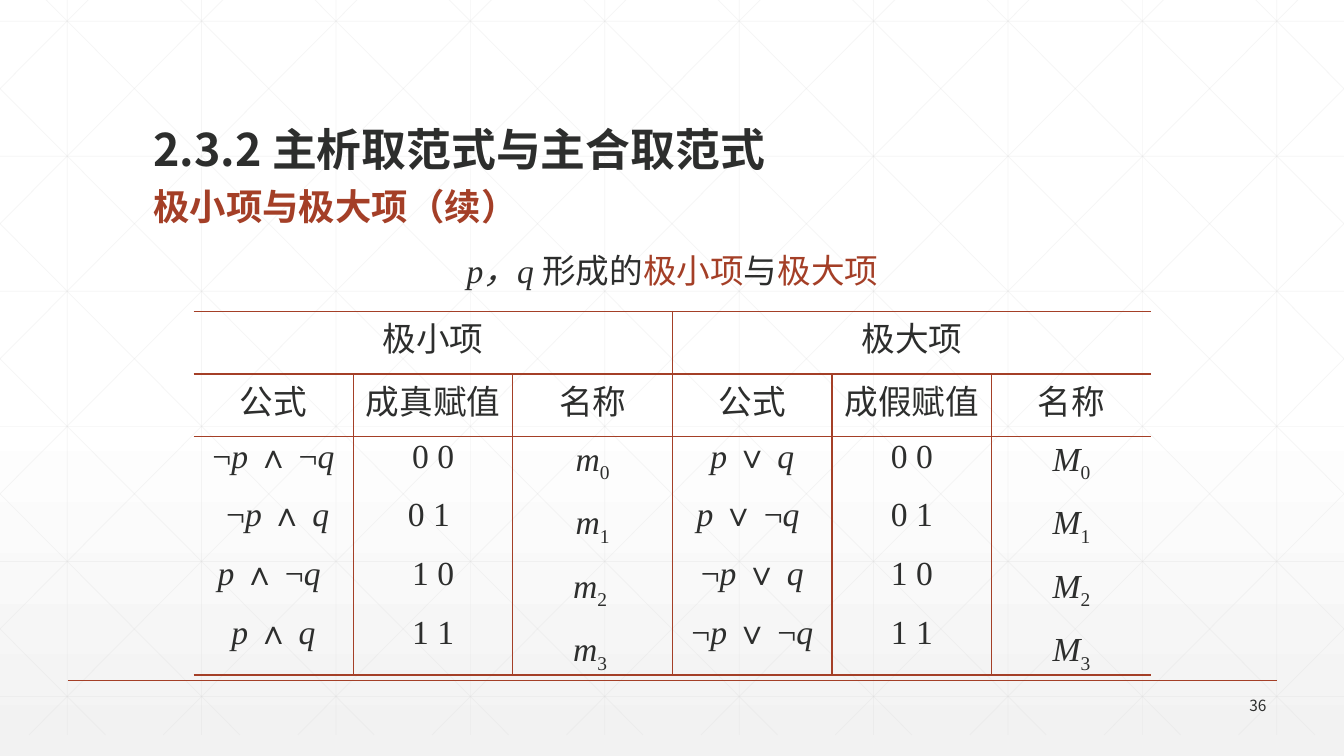
"""Slide on the minterms and maxterms of two propositional variables."""
from collections import namedtuple
from itertools import groupby

from lxml.etree import SubElement
from pptx import Presentation
from pptx.dml.color import RGBColor
from pptx.enum.shapes import MSO_CONNECTOR as Connector
from pptx.enum.text import MSO_ANCHOR as Anchor, MSO_AUTO_SIZE as AutoSize, PP_ALIGN as Align
from pptx.oxml.ns import qn
from pptx.util import Inches, Pt

TITLE = "2.3.2 主析取范式与主合取范式"
SUBTITLE = "极小项与极大项（续）"
CAPTION = [("p，q ", "variable"), ("形成的", "plain"), ("极小项", "key"),
           ("与", "plain"), ("极大项", "key")]
PAGE = "36"
GROUPS = ["极小项", "极大项"]
HEADINGS = ["公式", "成真赋值 ", "名称", "公式", "成假赋值 ", "名称"]
TERMS = [
    ["¬p ∧ ¬q", " ¬p ∧ q", "p ∧ ¬q ", "p ∧ q"],
    ["0 0", "0 1 ", "1 0", "1 1"],
    ["m0", "m1", "m2 ", "m3 "],
    ["p ∨ q", "p ∨ ¬q ", "¬p ∨ q", "¬p ∨ ¬q"],
    ["0 0", "0 1", "1 0", "1 1"],
    ["M0", "M1", "M2", "M3"],
]

Theme = namedtuple("Theme", "ink accent grid paper shade sans serif title subtitle text page")
THEME = Theme("2D2E2D", "A43F27", "D9D9D9", "FFFFFF", "F2F2F2",
              "Noto Sans CJK SC", "Times New Roman", 32, 26, 24, 11)

WIDTH, HEIGHT = 13.33, 7.5
GRID_TOP, GRID_BOTTOM = -0.21, 7.29
COLUMN_STEP, ROW_STEP = WIDTH / 10, 1.34
SLOPE = 7.5 / 7.46
TABLE_LEFT, TABLE_TOP, TABLE_WIDTH = 1.92, 3.09, 9.5
ROW_HEIGHTS = [0.62, 0.62, 1.99]


def rgb(color):
    return RGBColor.from_string(color)


def draw_line(slide, start, end, color, points, opacity=100):
    line = slide.shapes.add_connector(
        Connector.STRAIGHT, *(Inches(value) for value in (*start, *end)))
    line.line.color.rgb = rgb(color)
    line.line.width = Pt(points)
    properties = line._element.spPr
    if opacity < 100:
        tint = properties.find(".//" + qn("a:srgbClr"))
        SubElement(tint, qn("a:alpha"), val=str(opacity * 1000))
    SubElement(properties, qn("a:effectLst"))


def draw_grid(slide):
    lines = []
    for column in range(10):
        x = COLUMN_STEP * (column + 0.5)
        lines.append(((x, GRID_TOP), (x, GRID_BOTTOM)))
    for row in range(6):
        y = 0.21 + ROW_STEP * row
        lines.append(((0, y), (WIDTH, y)))
    for step in range(-5, 10):
        x = 0.25 + COLUMN_STEP * step
        left = max(x, 0)
        right = min(x + (GRID_BOTTOM - GRID_TOP) / SLOPE, WIDTH)
        top, bottom = (GRID_TOP + (edge - x) * SLOPE for edge in (left, right))
        lines.append(((left, top), (right, bottom)))
        lines.append(((WIDTH - left, top), (WIDTH - right, bottom)))
    for start, end in lines:
        draw_line(slide, start, end, THEME.grid, 0.5, 25)


def add_run(paragraph, text, size, font=THEME.sans, color=THEME.ink,
            bold=False, italic=False, subscript=False):
    run = paragraph.add_run()
    run.text = text
    run.font.size, run.font.bold, run.font.italic = Pt(size), bold, italic
    run.font.color.rgb = rgb(color)
    run.font.name = font
    properties = run._r.get_or_add_rPr()
    SubElement(properties, qn("a:ea"), typeface=THEME.sans)
    if subscript:
        properties.set("baseline", "-25000")


def add_formula(paragraph, formula):
    named = formula[0] in "mM"
    for letters, characters in groupby(formula, lambda c: c in "pqmM"):
        add_run(paragraph, "".join(characters), THEME.text, THEME.serif,
                italic=letters, subscript=named and not letters)


def place(shape, left, top, width, height, anchor):
    shape.left, shape.top = Inches(left), Inches(top)
    shape.width, shape.height = Inches(width), Inches(height)
    frame = shape.text_frame
    frame.word_wrap = True
    frame.auto_size = AutoSize.NONE
    frame.vertical_anchor = anchor
    return frame


def format_paragraphs(frame, align, before=18):
    for index, paragraph in enumerate(frame.paragraphs):
        paragraph.alignment = align
        paragraph.line_spacing = 0.9
        paragraph.space_before = Pt(before if index else 0)


def fill_body(body):
    frame = place(body, 1.42, 1.83, 10.5, 5.17, Anchor.TOP)
    subtitle, caption = frame.paragraphs[0], frame.add_paragraph()
    for paragraph in (subtitle, caption):
        properties = paragraph._p.get_or_add_pPr()
        properties.set("marL", str(Inches(0.25)))
        properties.set("indent", str(-Inches(0.25)))
        SubElement(properties, qn("a:buNone"))
    add_run(subtitle, SUBTITLE, THEME.subtitle, THEME.serif, THEME.accent, bold=True)
    for text, role in CAPTION:
        variable = role == "variable"
        add_run(caption, text, THEME.text, THEME.serif if variable else THEME.sans,
                THEME.accent if role == "key" else THEME.ink, italic=variable)
    format_paragraphs(frame, Align.CENTER)
    subtitle.alignment = Align.JUSTIFY


def set_borders(cell, visible):
    properties = cell._tc.get_or_add_tcPr()
    for side in "LRTB":
        border = SubElement(properties, qn("a:ln" + side), w=str(Pt(1)))
        if side in visible:
            paint = SubElement(border, qn("a:solidFill"))
            SubElement(paint, qn("a:srgbClr"), val=THEME.accent)
        else:
            SubElement(border, qn("a:noFill"))
    cell.fill.background()


def add_terms_table(slide):
    columns = len(HEADINGS)
    span = columns // len(GROUPS)
    table = slide.shapes.add_table(
        len(ROW_HEIGHTS), columns, Inches(TABLE_LEFT), Inches(TABLE_TOP),
        Inches(TABLE_WIDTH), Inches(sum(ROW_HEIGHTS))).table
    table.first_row = table.horz_banding = False
    for row, height in zip(table.rows, ROW_HEIGHTS):
        row.height = Inches(height)
    for column in range(columns):
        table.columns[column].width = Inches(TABLE_WIDTH / columns)
        for row in range(len(ROW_HEIGHTS)):
            left = column % span == 0 if row == 0 else True
            right = column % span == span - 1 if row == 0 else True
            set_borders(table.cell(row, column), "TB"
                        + ("L" if left and column > 0 else "")
                        + ("R" if right and column < columns - 1 else ""))
        add_run(table.cell(1, column).text_frame.paragraphs[0], HEADINGS[column], THEME.text)
        terms = table.cell(2, column).text_frame
        for index, formula in enumerate(TERMS[column]):
            add_formula(terms.add_paragraph() if index else terms.paragraphs[0], formula)
    for index, group in enumerate(GROUPS):
        first = table.cell(0, index * span)
        first.merge(table.cell(0, index * span + span - 1))
        add_run(first.text_frame.paragraphs[0], group, THEME.text)
    for cell in table.iter_cells():
        format_paragraphs(cell.text_frame, Align.CENTER)


def main():
    deck = Presentation()
    deck.slide_width, deck.slide_height = Inches(WIDTH), Inches(HEIGHT)
    slide = deck.slides.add_slide(deck.slide_layouts[1])
    backdrop = slide.background.fill
    backdrop.gradient()
    backdrop.gradient_angle = 270
    for stop, color, position in zip(backdrop.gradient_stops,
                                     (THEME.paper, THEME.shade), (0.53, 1)):
        stop.color.rgb, stop.position = rgb(color), position

    draw_grid(slide)
    draw_line(slide, (0.67, 6.75), (12.67, 6.75), THEME.accent, 1)

    page = place(slide.shapes.add_textbox(0, 0, 0, 0), 11.66, 6.88, 1, 0.24, Anchor.MIDDLE)
    add_run(page.paragraphs[0], PAGE, THEME.page)
    page.paragraphs[0].alignment = Align.RIGHT

    title, body = slide.placeholders
    for placeholder in (title, body):
        slide.shapes._spTree.append(placeholder._element)
    heading = place(title, 1.42, 0.55, 10.5, 1.25, Anchor.BOTTOM)
    add_run(heading.paragraphs[0], TITLE, THEME.title, bold=True)
    format_paragraphs(heading, Align.LEFT)
    fill_body(body)
    add_terms_table(slide)
    deck.save("out.pptx")


if __name__ == "__main__":
    main()
